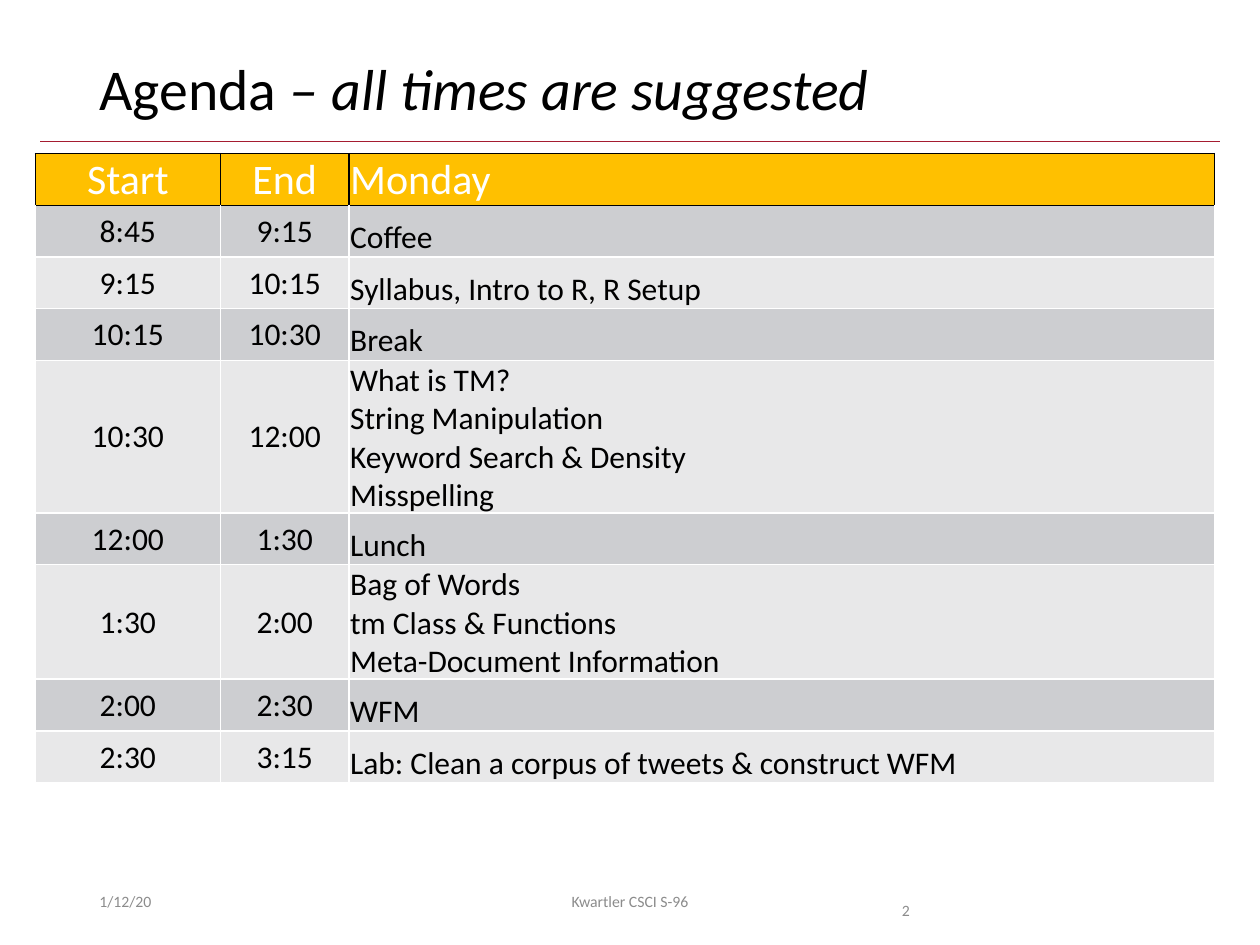
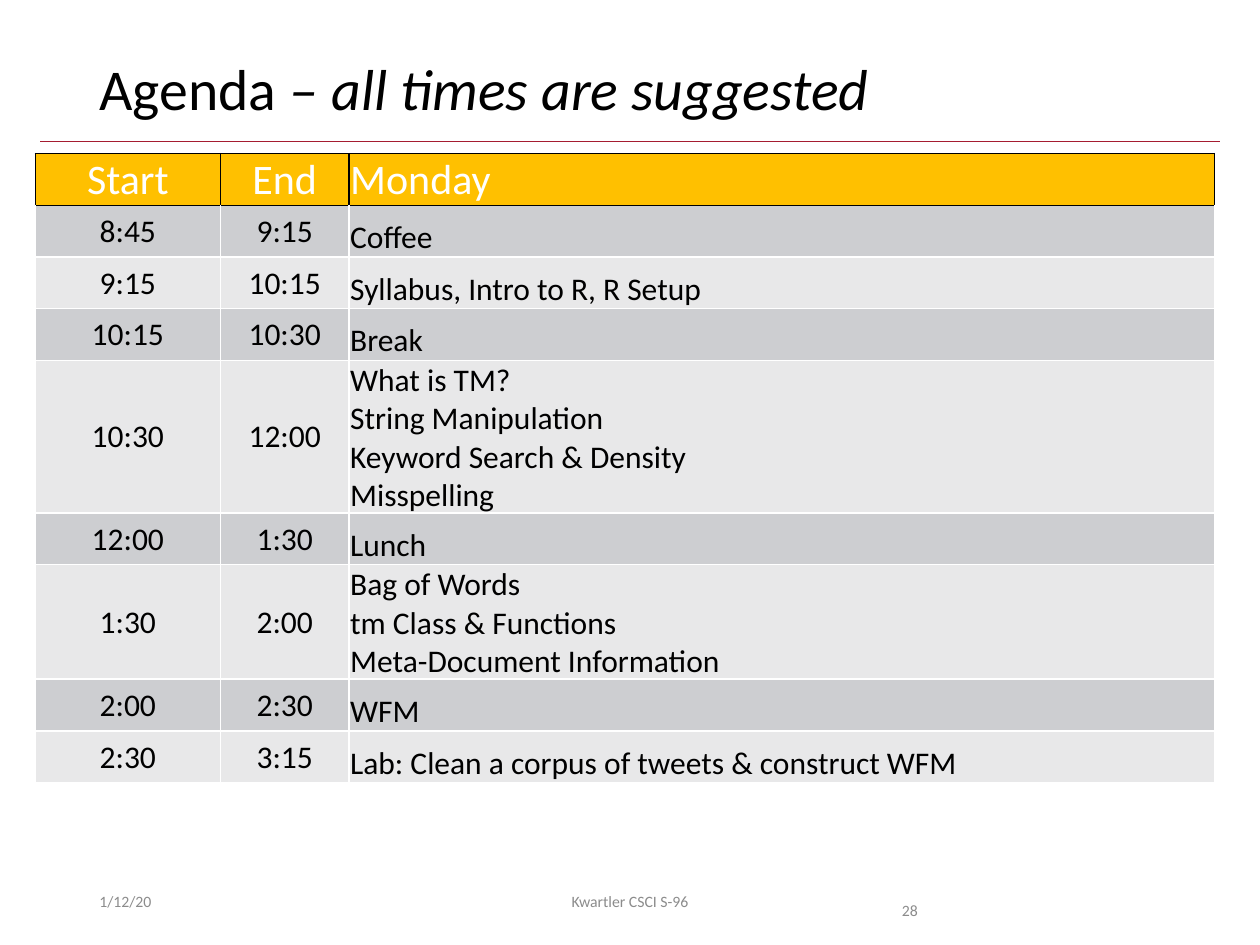
from dataclasses import dataclass

from lxml import etree
from pptx import Presentation
from pptx.dml.color import RGBColor
from pptx.enum.shapes import MSO_CONNECTOR
from pptx.enum.text import MSO_ANCHOR as Anchor, PP_ALIGN as Align
from pptx.oxml.ns import qn
from pptx.util import Inches, Pt

FONT = "Calibri"
COLORS = {
    "text": "000000",
    "rule": "A51C30",
    "footer": "8C8C8C",
    "header": "FFC000",
    "odd_row": "CDCED1",
    "even_row": "E8E8E9",
    "white": "FFFFFF",
}
COLUMN_WIDTHS = (1.47, 1.02, 6.87)
ROW_HEIGHT = 0.41
HEADINGS = ("Start", "End", "Monday")
PAGE_NUMBERS = ("2", "28")


@dataclass(frozen=True)
class Session:
    start: str
    end: str
    topic: str


@dataclass(frozen=True)
class Label:
    text: str
    left: float
    width: float
    align: Align = Align.LEFT
    anchor: Anchor = Anchor.MIDDLE
    line_spacing: float = 1.0


# In a topic, \v breaks a line and \n starts a paragraph.
SESSIONS = (
    Session("8:45", "9:15", "Coffee"),
    Session("9:15", "10:15", "Syllabus, Intro to R, R Setup"),
    Session("10:15", "10:30", "Break"),
    Session("10:30", "12:00",
            "What is TM?\vString Manipulation\vKeyword Search & Density\nMisspelling"),
    Session("12:00", "1:30", "Lunch"),
    Session("1:30", "2:00",
            "Bag of Words\ntm Class & Functions\nMeta-Document Information"),
    Session("2:00", "2:30", "WFM"),
    Session("2:30", "3:15", "Lab: Clean a corpus of tweets & construct WFM"),
)
FOOTERS = (
    Label("1/12/20", 0.69, 2.25),
    Label("Kwartler CSCI S-96", 3.31, 3.38, Align.CENTER),
)


def rgb(color: str) -> RGBColor:
    return RGBColor.from_string(COLORS[color])


def style_text(text_frame, size: float, color: str, align: Align = Align.LEFT,
               line_spacing: float = 1.0) -> None:
    for paragraph in text_frame.paragraphs:
        paragraph.alignment = align
        paragraph.line_spacing = line_spacing
        for run in paragraph.runs:
            run.font.name = FONT
            run.font.size = Pt(size)
            run.font.bold = False
            run.font.color.rgb = rgb(color)


def add_text_frame(slide, left: float, top: float, width: float, height: float,
                   anchor: Anchor):
    box = slide.shapes.add_textbox(Inches(left), Inches(top), Inches(width), Inches(height))
    box.text_frame.word_wrap = True
    box.text_frame.vertical_anchor = anchor
    return box.text_frame


def add_title(slide) -> None:
    text_frame = add_text_frame(slide, 0.69, 0.4, 8.62, 0.65, Anchor.MIDDLE)
    paragraph = text_frame.paragraphs[0]
    paragraph.text = "Agenda "
    emphasis = paragraph.add_run()
    emphasis.text = "– all times are suggested"
    emphasis.font.italic = True
    style_text(text_frame, 33, "text", line_spacing=0.9)


def add_title_rule(slide) -> None:
    rule = slide.shapes.add_connector(
        MSO_CONNECTOR.STRAIGHT, Inches(0.32), Inches(1.12), Inches(9.68), Inches(1.12))
    rule.line.color.rgb = rgb("rule")
    rule.line.width = Pt(0.5)
    etree.SubElement(rule._element.spPr, qn("a:effectLst"))


def add_footer(slide, label: Label) -> None:
    text_frame = add_text_frame(slide, label.left, 6.95, label.width, 0.4, label.anchor)
    text_frame.text = label.text
    style_text(text_frame, 9, "footer", label.align, label.line_spacing)


def set_borders(cell, color: str, top_color: str) -> None:
    properties = cell._tc.get_or_add_tcPr()
    for side in ("L", "R", "T", "B"):
        line = etree.SubElement(properties, qn(f"a:ln{side}"), w=str(Pt(1)))
        fill = etree.SubElement(line, qn("a:solidFill"))
        side_color = top_color if side == "T" else color
        etree.SubElement(fill, qn("a:srgbClr"), val=COLORS[side_color])


def fill_cell(cell, text: str, row: int, column: int) -> None:
    is_header = row == 0
    is_topic = column == 2
    set_borders(cell, "text" if is_header else "white", "text" if row < 2 else "white")
    cell.fill.solid()
    cell.fill.fore_color.rgb = rgb(
        "header" if is_header else "odd_row" if row % 2 else "even_row")
    cell.margin_left = cell.margin_right = cell.margin_top = Inches(0.01)
    cell.margin_bottom = 0
    cell.vertical_anchor = Anchor.BOTTOM if is_topic and not is_header else Anchor.MIDDLE
    cell.text_frame.text = text
    style_text(cell.text_frame, 24 if is_header else 18, "white" if is_header else "text",
               Align.LEFT if is_topic else Align.CENTER)


def add_agenda(slide) -> None:
    rows = [HEADINGS] + [(item.start, item.end, item.topic) for item in SESSIONS]
    frame = slide.shapes.add_table(
        len(rows), len(HEADINGS), Inches(0.28), Inches(1.22),
        Inches(sum(COLUMN_WIDTHS)), Inches(4.96))
    table = frame.table
    table.first_row = table.horz_banding = False
    for column, width in zip(table.columns, COLUMN_WIDTHS):
        column.width = Inches(width)
    for row_index, texts in enumerate(rows):
        table.rows[row_index].height = Inches(ROW_HEIGHT)
        for column_index, text in enumerate(texts):
            fill_cell(table.cell(row_index, column_index), text, row_index, column_index)
    frame.height = Inches(4.96)


def add_agenda_slide(presentation, page_number: str) -> None:
    slide = presentation.slides.add_slide(presentation.slide_layouts[6])
    add_title_rule(slide)
    add_title(slide)
    add_agenda(slide)
    page_label = Label(page_number, 7.06, 0.94, anchor=Anchor.TOP, line_spacing=2.0)
    for label in (*FOOTERS, page_label):
        add_footer(slide, label)


def main() -> None:
    presentation = Presentation()
    presentation.slide_width = Inches(10)
    presentation.slide_height = Inches(7.5)
    for page_number in PAGE_NUMBERS:
        add_agenda_slide(presentation, page_number)
    presentation.save("out.pptx")


if __name__ == "__main__":
    main()
